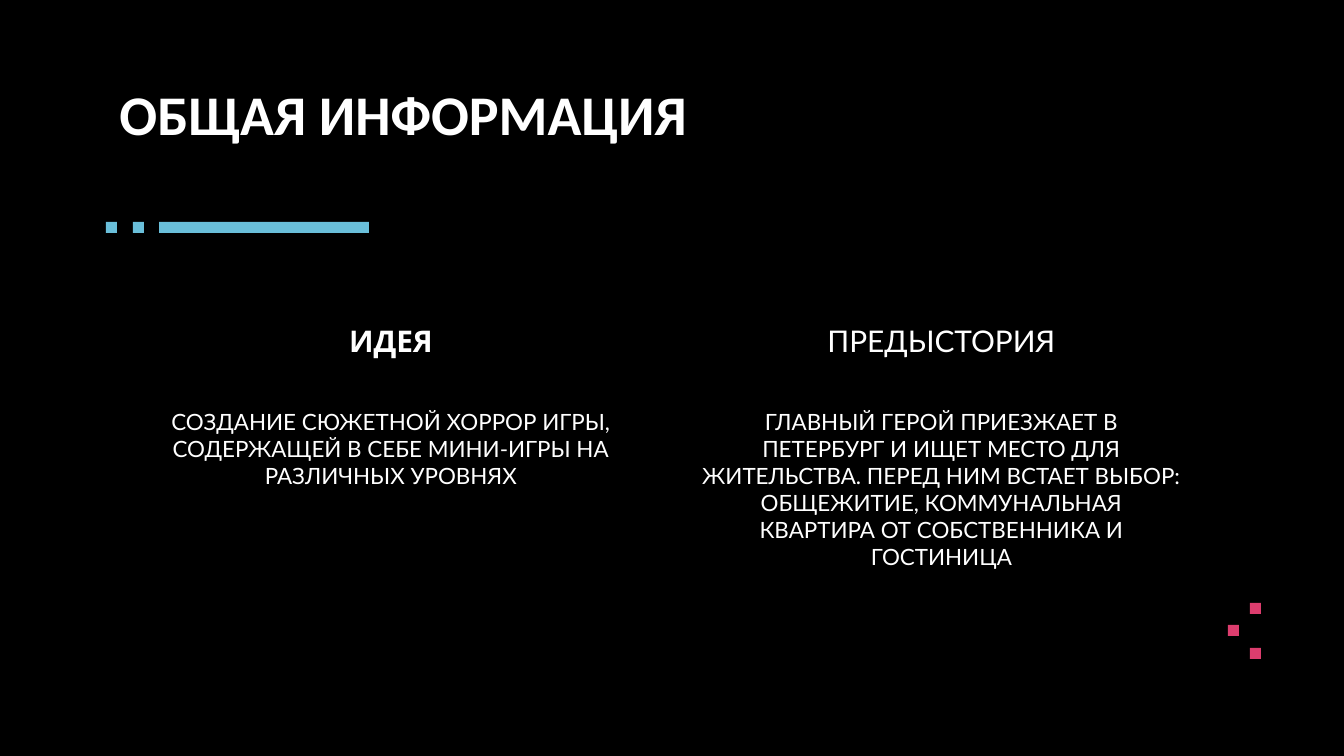
from pptx import Presentation
from pptx.dml.color import RGBColor
from pptx.enum.shapes import MSO_SHAPE
from pptx.enum.text import MSO_ANCHOR, MSO_AUTO_SIZE, PP_ALIGN
from pptx.util import Pt
from lxml.etree import SubElement
from pptx.oxml.ns import qn

PX = 914400 / 134.4
COLORS = {"bg": "000000", "text": "FFFFFF", "blue": "6ABFDA", "pink": "DD3D6E"}
DOT = 11


def px(n):
    return round(n * PX)


class Deck:
    def __init__(self, width, height):
        self.prs = Presentation()
        self.prs.slide_width, self.prs.slide_height = px(width), px(height)

    def color(self, name):
        return RGBColor.from_string(COLORS[name])

    def add_slide(self, layout):
        self.s = self.prs.slides.add_slide(self.prs.slide_layouts[layout])
        fill = self.s.background.fill
        fill.solid()
        fill.fore_color.rgb = self.color("bg")

    def text(self, idx, box, text, size, font="Lato", bold=False,
             align=PP_ALIGN.CENTER, anchor=MSO_ANCHOR.TOP):
        """Move, fill and format the placeholder with this idx."""
        sp = self.s.placeholders[idx]
        sp.left, sp.top, sp.width, sp.height = map(px, box)
        tf = sp.text_frame
        tf.word_wrap = True
        tf.auto_size = MSO_AUTO_SIZE.NONE
        tf.vertical_anchor = anchor
        tf.margin_left = tf.margin_right = tf.margin_top = tf.margin_bottom = Pt(7.2)
        p = tf.paragraphs[0]
        p.alignment = align
        p.line_spacing = 1.0
        p.space_before = Pt(0)
        pPr = p._p.get_or_add_pPr()
        pPr.set("marL", "0")
        pPr.set("indent", "0")
        SubElement(pPr, qn("a:buNone"))
        r = p.add_run()
        r.text = text
        r.font.size, r.font.name, r.font.bold = Pt(size), font, bold
        r.font.color.rgb = self.color("text")

    def rect(self, x, y, color, width=DOT):
        sp = self.s.shapes.add_shape(MSO_SHAPE.RECTANGLE, px(x), px(y), px(width), px(DOT))
        sp.shadow.inherit = False
        sp.fill.solid()
        sp.fill.fore_color.rgb = self.color(color)
        sp.line.fill.background()


def main():
    deck = Deck(1344, 756)
    deck.add_slide(4)

    for x, y in ((1250, 603), (1228, 625), (1250, 648)):
        deck.rect(x, y, "pink")

    deck.text(0, (106, 66, 1133, 85), "ОБЩАЯ ИНФОРМАЦИЯ", 30, "Calibri", True, PP_ALIGN.LEFT)

    columns = (
        (1, 149, 484, "ИДЕЯ", "Open Sans", True,
         "СОЗДАНИЕ СЮЖЕТНОЙ ХОРРОР ИГРЫ, СОДЕРЖАЩЕЙ В СЕБЕ МИНИ-ИГРЫ НА РАЗЛИЧНЫХ УРОВНЯХ"),
        (3, 688, 507, "ПРЕДЫСТОРИЯ", "Lato", False,
         "ГЛАВНЫЙ ГЕРОЙ ПРИЕЗЖАЕТ В ПЕТЕРБУРГ И ИЩЕТ МЕСТО ДЛЯ ЖИТЕЛЬСТВА. "
         "ПЕРЕД НИМ ВСТАЕТ ВЫБОР: ОБЩЕЖИТИЕ, КОММУНАЛЬНАЯ КВАРТИРА ОТ СОБСТВЕННИКА И ГОСТИНИЦА"),
    )
    for idx, x, width, heading, font, bold, body in columns:
        deck.text(idx, (x, 267, width, 105), heading, 16, font, bold, anchor=MSO_ANCHOR.BOTTOM)
        deck.text(idx + 1, (x, 395, width, 179), body, 12)

    for x, width in ((106, DOT), (133, DOT), (159, 210)):
        deck.rect(x, 222, "blue", width)

    deck.prs.save("out.pptx")


if __name__ == "__main__":
    main()
